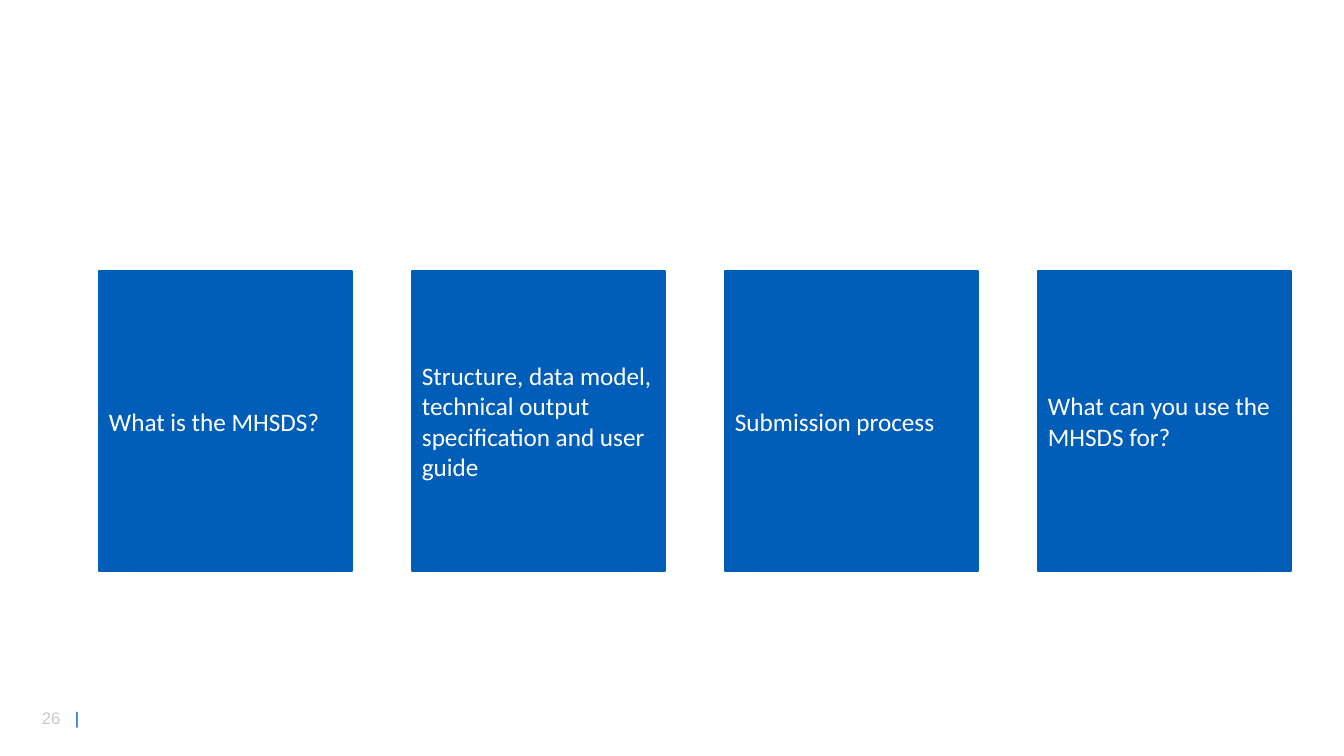
import pptx
import pptx.util
import pptx.dml.color
import pptx.enum.shapes
import pptx.enum.text
import pptx.oxml.ns
import lxml.etree

TOPICS = [
    "What is the MHSDS?",
    "Structure, data model, technical output specification and user guide",
    "Submission process",
    "What can you use the MHSDS for?",
]
PAGE_NUMBER = [("26\t", "grey"), ("|", "blue")]
COLORS = {"blue": "005EB8", "grey": "C9C9C9", "white": "FFFFFF"}

SLIDE_W, SLIDE_H = 1344, 756
CARD_LEFT, CARD_TOP, CARD_W, CARD_H, CARD_PITCH = 99, 271, 253, 300, 313
FOOTER = (32, 703, 72, 30)
BAR_TAB = 33


def px(n):
    return pptx.util.Emu(round(n * 914400 / 100.8))


def rgb(name):
    return pptx.dml.color.RGBColor.from_string(COLORS[name])


def set_font(font, name, size):
    font.name = name
    font.size = pptx.util.Pt(size)


def add_page_number(s):
    tf = s.shapes.add_textbox(*map(px, FOOTER)).text_frame
    tf.word_wrap = True
    p = tf.paragraphs[0]
    set_font(p.font, "Arial", 12)
    for text, color in PAGE_NUMBER:
        r = p.add_run()
        r.text = text
        r.font.color.rgb = rgb(color)
    qn = pptx.oxml.ns.qn
    tabs = lxml.etree.Element(qn("a:tabLst"))
    lxml.etree.SubElement(tabs, qn("a:tab"), pos=str(px(BAR_TAB)), algn="l")
    p._p.get_or_add_pPr().insert(0, tabs)


def add_card(s, i, topic):
    sp = s.shapes.add_shape(
        pptx.enum.shapes.MSO_SHAPE.RECTANGLE,
        *map(px, (CARD_LEFT + i * CARD_PITCH, CARD_TOP, CARD_W, CARD_H)),
    )
    sp.shadow.inherit = False
    sp.fill.solid()
    sp.fill.fore_color.rgb = rgb("blue")
    sp.line.color.rgb = rgb("blue")
    sp.line.width = pptx.util.Pt(1)
    tf = sp.text_frame
    tf.word_wrap = True
    tf.vertical_anchor = pptx.enum.text.MSO_ANCHOR.MIDDLE
    p = tf.paragraphs[0]
    p.text = topic
    p.alignment = pptx.enum.text.PP_ALIGN.LEFT
    set_font(p.font, "Calibri", 18)
    p.font.color.rgb = rgb("white")


prs = pptx.Presentation()
prs.slide_width, prs.slide_height = px(SLIDE_W), px(SLIDE_H)
s = prs.slides.add_slide(prs.slide_layouts[6])
add_page_number(s)
for i, topic in enumerate(TOPICS):
    add_card(s, i, topic)
prs.save("out.pptx")
